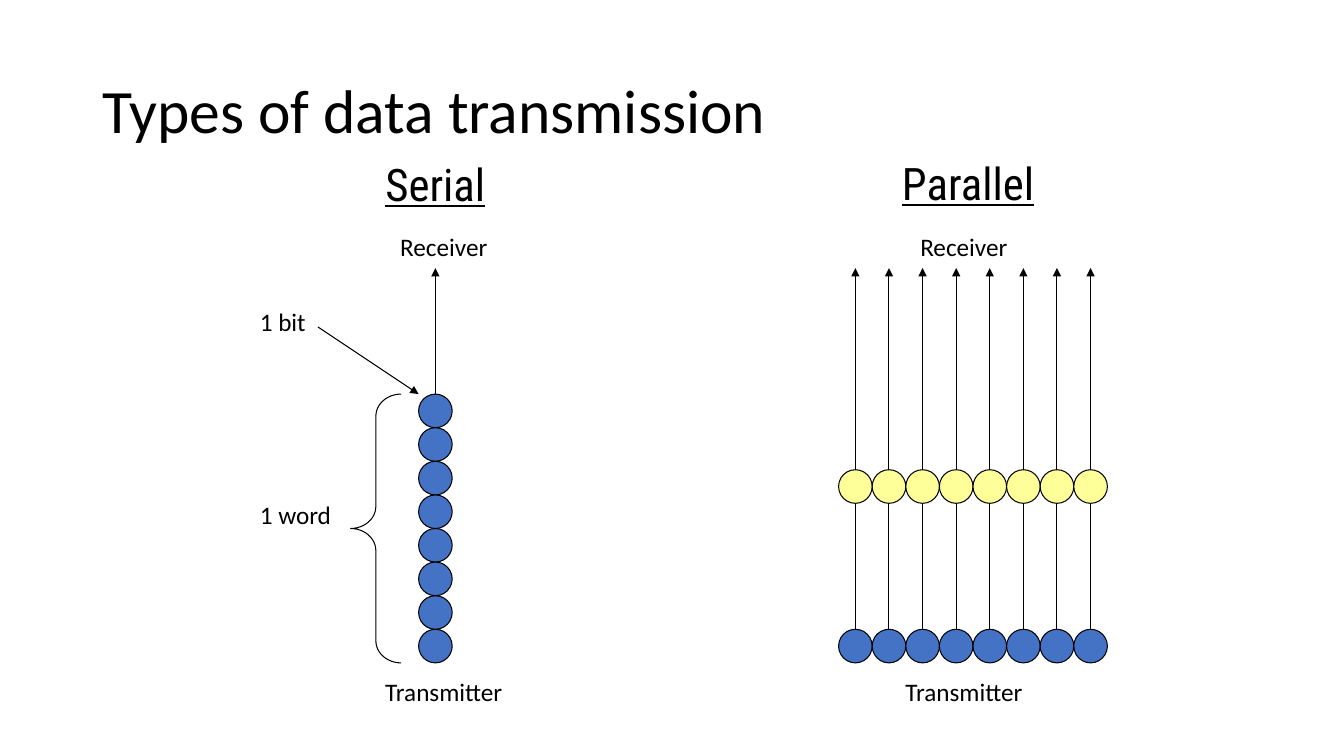
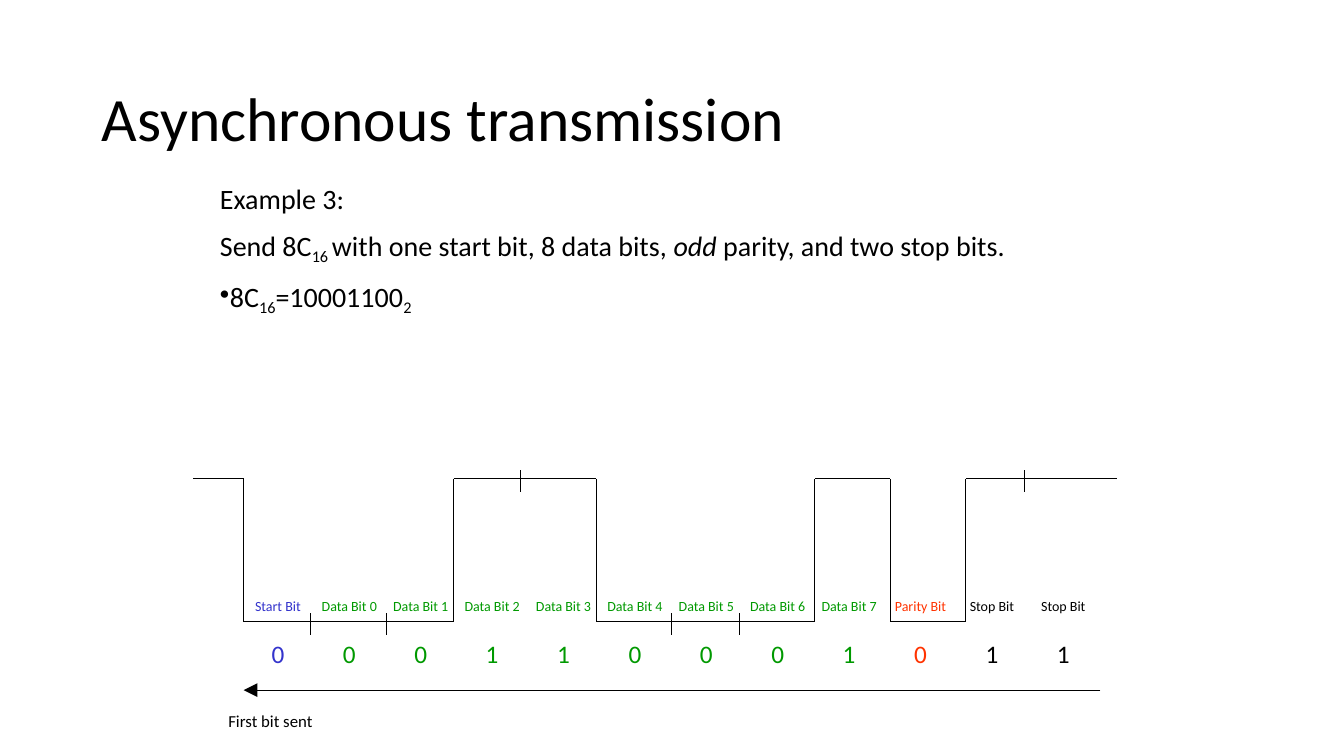
import dataclasses
import itertools

import lxml.etree
import pptx
import pptx.dml.color
import pptx.enum.shapes
import pptx.enum.text
import pptx.oxml.ns
import pptx.util

Pt = pptx.util.Pt
SHAPE = pptx.enum.shapes.MSO_SHAPE
ALIGN = pptx.enum.text.PP_ALIGN
ANCHOR = pptx.enum.text.MSO_ANCHOR
qn = pptx.oxml.ns.qn


@dataclasses.dataclass(frozen=True)
class Theme:
    """Colours, fonts and sizes that the slides share."""
    ink: str = "000000"
    blue: str = "4472C4"
    yellow: str = "FFFF99"
    start: str = "3333CC"
    data: str = "009900"
    check: str = "FF3300"
    body: str = "Calibri"
    head: str = "Roboto Condensed"
    title: int = 44
    topic: int = 32
    text: int = 20
    label: int = 18
    note: int = 12
    small: int = 10
    line: float = 0.75


THEME = Theme()
BITS = 8
BEAD = 24


def rgb(code):
    """Turn a hex code into a colour."""
    return pptx.dml.color.RGBColor.from_string(code)


def add_run(para, text, size, color=THEME.ink, base=None, **extra):
    """Add one run of text, with an optional baseline shift."""
    run = para.add_run()
    run.text = text
    style = {"name": THEME.body, "size": Pt(size), **extra}
    for key, value in style.items():
        setattr(run.font, key, value)
    run.font.color.rgb = rgb(color)
    if base:
        run.font._element.set("baseline", str(base))


def add_box(slide, left, top, width, height, **frame):
    """Add an empty wrapped text box and return its frame."""
    box = slide.shapes.add_textbox(Pt(left), Pt(top), Pt(width), Pt(height))
    for key, value in {"word_wrap": True, **frame}.items():
        setattr(box.text_frame, key, value)
    return box.text_frame


def add_text(slide, text, place, size, align=ALIGN.LEFT, **style):
    """Add a text box that holds a single line."""
    para = add_box(slide, *place).paragraphs[0]
    para.alignment = align
    add_run(para, text, size, **style)


def add_title(slide, text, left, top):
    """Add the slide title."""
    frame = add_box(slide, left, top, 828, 104.4,
                    vertical_anchor=ANCHOR.MIDDLE)
    para = frame.paragraphs[0]
    para.line_spacing = 0.9
    add_run(para, text, THEME.title)


def add_line(slide, start, end, head=None):
    """Draw a thin line, with an arrowhead of the given size if any."""
    link = slide.shapes.add_connector(
        pptx.enum.shapes.MSO_CONNECTOR.STRAIGHT,
        *(Pt(value) for value in (*start, *end)))
    link.line.color.rgb = rgb(THEME.ink)
    link.line.width = Pt(THEME.line)
    if head:
        lxml.etree.SubElement(link.line._get_or_add_ln(), qn("a:tailEnd"),
                              type="triangle", w=head, len=head)
    lxml.etree.SubElement(link._element.spPr, qn("a:effectLst"))


def add_form(slide, kind, place, fill=None):
    """Add an outlined preset shape."""
    form = slide.shapes.add_shape(kind, *(Pt(value) for value in place))
    form.shadow.inherit = False
    if fill:
        form.fill.solid()
        form.fill.fore_color.rgb = rgb(fill)
    else:
        form.fill.background()
    form.line.color.rgb = rgb(THEME.ink)
    form.line.width = Pt(THEME.line)
    return form


def add_beads(slide, left, top, fill, across):
    """Add a word of touching beads, one for each bit."""
    for index in range(BITS):
        shift = index * BEAD
        x, y = (left + shift, top) if across else (left, top + shift)
        add_form(slide, SHAPE.OVAL, (x, y, BEAD, BEAD), fill)


def add_ends(slide, topic, mid, top, left):
    """Add a topic heading with its receiver and transmitter labels."""
    add_text(slide, topic, (mid - 153, top, 306, 48), THEME.topic,
             ALIGN.CENTER, name=THEME.head, underline=True)
    for text, y in (("Receiver", 161.5), ("Transmitter", 479.5)):
        add_text(slide, text, (left, y, 156, 29), THEME.label, ALIGN.CENTER)


def make_types(slide):
    """Build the slide on serial and parallel sending."""
    add_title(slide, "Types of data transmission", 66, 28.8)
    add_ends(slide, "Serial", 311, 108.5, 239)
    add_ends(slide, "Parallel", 691.5, 107.5, 610.5)

    low, high = 473.5, 191.5
    add_line(slide, (311, low), (311, high), "med")
    for index in range(BITS):
        x = 611 + index * BEAD
        add_line(slide, (x, low), (x, high), "med")
    add_beads(slide, 299, 281.5, THEME.blue, False)
    add_beads(slide, 599, 449.5, THEME.blue, True)
    add_beads(slide, 599, 335.5, THEME.yellow, True)

    for text, y in (("1 bit", 215.5), ("1 word", 353)):
        add_text(slide, text, (178.5, y, 90, 29), THEME.label)
    add_line(slide, (227, 233.5), (299, 281.5), "med")
    brace = add_form(slide, SHAPE.LEFT_BRACE,
                     (250.5, 281.5, 36, BITS * BEAD))
    brace.adjustments[0] = 0.44


def add_task(slide):
    """Add the worked example above the signal."""
    sub = {"base": -20000}
    lines = (
        [("Example 3:", {})],
        [("Send 8C", {}), ("16 ", sub),
         ("with one start bit, 8 data bits, ", {}), ("odd", {"italic": True}),
         (" parity, and two stop bits.", {})],
        [("8C", {}), ("16", sub), ("=10001100", {}), ("2", sub)],
    )
    frame = add_box(slide, 150, 126, 654, 103)
    for index, runs in enumerate(lines):
        para = frame.add_paragraph() if index else frame.paragraphs[0]
        if index:
            para.space_before = Pt(10)
        for text, style in runs:
            add_run(para, text, THEME.text, **style)
    lxml.etree.SubElement(para._p.get_or_add_pPr(), qn("a:buChar"), char="•")


def add_wave(slide):
    """Draw the signal, which flips level at each edge, and its ticks."""
    high, low = 342, 444
    edges = (138, 174, 324, 426, 582, 636, 690, 798)
    points = []
    for index, (left, right) in enumerate(itertools.pairwise(edges)):
        y = low if index % 2 else high
        points += [(left, y), (right, y)]
    for start, end in itertools.pairwise(points):
        add_line(slide, start, end)
    for y, ticks in ((low, (222, 276, 480, 528)), (high, (372, 732))):
        for x in ticks:
            add_line(slide, (x, y - 6), (x, y + 9.5))


def make_async(slide):
    """Build the slide with the example of a sent byte."""
    cells = [("Start Bit", "0", THEME.start)]
    cells += [(f"Data Bit {index}", bit, THEME.data)
              for index, bit in enumerate("00110001")]
    cells += [("Parity Bit", "0", THEME.check)]
    cells += [("Stop Bit", "1", THEME.ink)] * 2
    for index, (name, bit, color) in enumerate(cells):
        left = 168.5 + index * 51
        for text, y, tall, size in ((name, 423.5, 19, THEME.small),
                                    (bit, 452.5, 29, THEME.label)):
            add_text(slide, text, (left, y, 60, tall), size, ALIGN.CENTER,
                     color=color)
    add_line(slide, (786, 493), (174, 493), "lg")
    add_task(slide)
    add_wave(slide)
    add_text(slide, "First bit sent", (156, 504, 96, 22), THEME.note)
    add_title(slide, "Asynchronous transmission", 65.5, 34.5)


def main():
    """Build and save the deck."""
    deck = pptx.Presentation()
    deck.slide_width, deck.slide_height = Pt(960), Pt(540)
    for make in (make_types, make_async):
        make(deck.slides.add_slide(deck.slide_layouts[6]))
    deck.save("out.pptx")


main()
